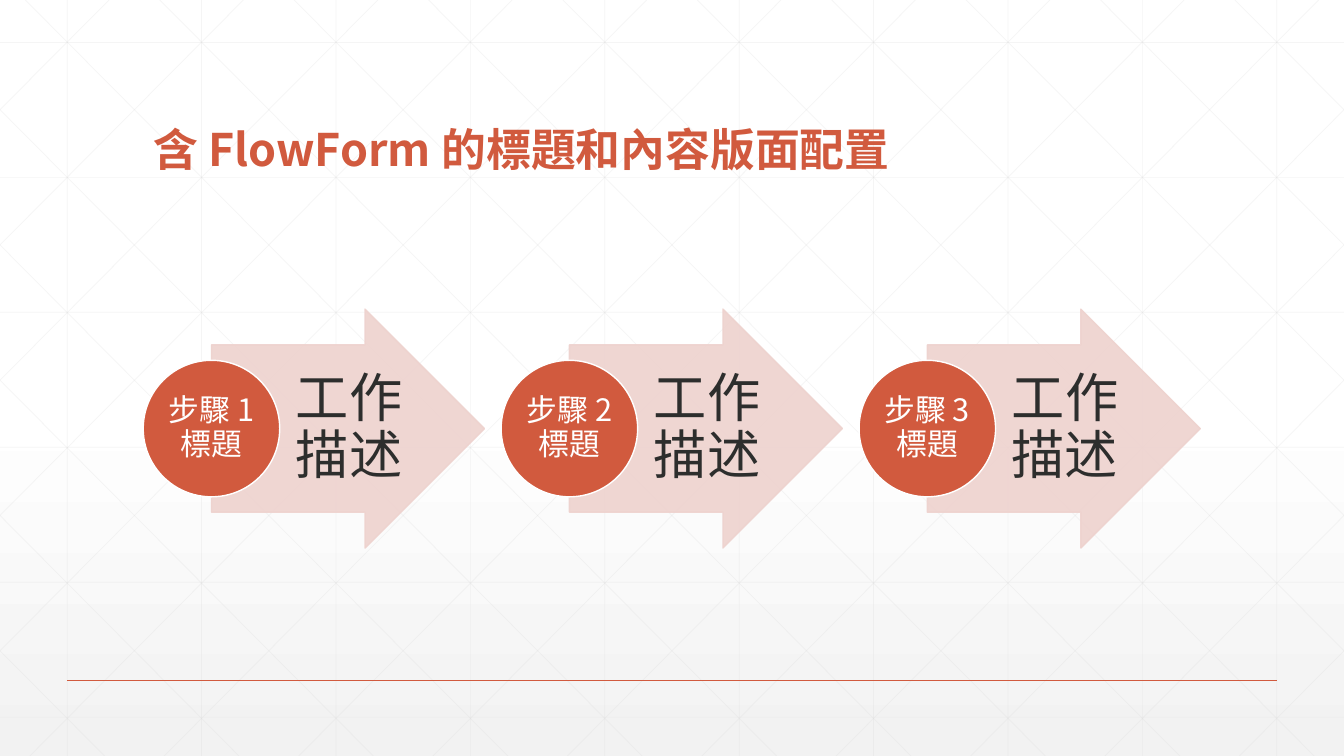
from copy import deepcopy

from lxml import etree
from pptx import Presentation
from pptx.dml.color import RGBColor
from pptx.enum import shapes, text
from pptx.oxml.ns import qn
from pptx.util import Cm, Pt

TITLE = "含 FlowForm 的標題和內容版面配置"
STEPS = [
    ("步驟 1 標題", "工作描述"),
    ("步驟 2 標題", "工作描述"),
    ("步驟 3 標題", "工作描述"),
]
FONT = "Noto Sans CJK TC"
COLORS = {
    "white": "FFFFFF",
    "shade": "F2F2F2",
    "grid": "D9D9D9",
    "accent": "D15A3E",
    "arrow": "EED2CE",
    "ink": "2D2E2D",
}

# Lengths in centimetres
WIDTH, HEIGHT = 33.87, 19.05
COLUMN_PITCH = WIDTH / 10
ROW_TOP, ROW_PITCH = 1.07, 3.4
DIAGONAL_START, DIAGONAL_RUN = 0.64, 18.93
MARGIN, RULE_TOP = 1.69, 17.15
STEP_LEFT, STEP_PITCH = 3.61, 9.02
STEP_MIDDLE = 10.8
CIRCLE = 3.44
HEADING_WIDTH, HEADING_HEIGHT = 2.7, 2.44
ARROW_WIDTH, ARROW_HEIGHT = 6.88, 6.02
TASK_WIDTH, TASK_HEIGHT = 3.35, 4.22


def rgb(name):
    return RGBColor.from_string(COLORS[name])


def set_alpha(fill_owner, percent):
    """Make the first solid colour below an XML element partly transparent."""
    color = fill_owner.find(".//" + qn("a:srgbClr"))
    etree.SubElement(color, qn("a:alpha")).set("val", str(percent * 1000))


def paint_background(slide):
    fill = slide.background.fill
    fill.gradient()
    fill.gradient_angle = 270
    for stop, name in zip(fill.gradient_stops, ("white", "shade")):
        stop.color.rgb = rgb(name)
    stops = slide.element.find(".//" + qn("a:gsLst"))
    middle = deepcopy(stops[0])
    middle.set("pos", "53000")
    stops.insert(1, middle)


def add_line(slide, start, end, color, width, alpha=100):
    line = slide.shapes.add_connector(
        shapes.MSO_CONNECTOR.STRAIGHT, *(Cm(v) for v in (*start, *end)))
    line.line.color.rgb = rgb(color)
    line.line.width = Pt(width)
    properties = line.element.spPr
    if alpha < 100:
        set_alpha(properties.find(qn("a:ln")), alpha)
    etree.SubElement(properties, qn("a:effectLst"))


def clipped_diagonal(top_x):
    """Ends, within the slide, of the falling diagonal that starts at top_x."""
    slope = HEIGHT / DIAGONAL_RUN
    left = max(top_x, 0)
    right = min(top_x + DIAGONAL_RUN, WIDTH)
    return (left, (left - top_x) * slope), (right, (right - top_x) * slope)


def add_grid(slide):
    lines = []
    for i in range(10):
        x = (i + 0.5) * COLUMN_PITCH
        lines.append(((x, 0), (x, HEIGHT)))
    for i in range(6):
        y = ROW_TOP + i * ROW_PITCH
        lines.append(((0, y), (WIDTH, y)))
    for i in range(-5, 10):
        falling = clipped_diagonal(DIAGONAL_START + i * COLUMN_PITCH)
        lines.append(falling)
        lines.append(tuple((WIDTH - x, y) for x, y in falling))
    for start, end in lines:
        add_line(slide, start, end, "grid", 0.5, alpha=25)


def add_words(slide, box, words, size, color, insets,
              anchor=text.MSO_ANCHOR.MIDDLE, align=text.PP_ALIGN.CENTER,
              bold=False):
    label = slide.shapes.add_textbox(*(Cm(v) for v in box))
    frame = label.text_frame
    frame.word_wrap = True
    frame.vertical_anchor = anchor
    (frame.margin_left, frame.margin_top,
     frame.margin_right, frame.margin_bottom) = (Cm(v) for v in insets)
    frame.text = words
    paragraph = frame.paragraphs[0]
    paragraph.alignment = align
    paragraph.line_spacing = 0.9
    font = paragraph.runs[0].font
    font.name, font.size, font.bold = FONT, Pt(size), bold
    font.color.rgb = rgb(color)
    latin = label.element.find(".//" + qn("a:latin"))
    latin.addnext(etree.Element(qn("a:ea"), typeface=FONT))


def add_preset(slide, preset, left, width, height, fill, line):
    """Add a filled shape centred on the middle line of the steps."""
    top = STEP_MIDDLE - height / 2
    shape = slide.shapes.add_shape(
        preset, *(Cm(v) for v in (left, top, width, height)))
    shape.shadow.inherit = False
    shape.fill.solid()
    shape.fill.fore_color.rgb = rgb(fill)
    shape.line.color.rgb = rgb(line)
    shape.line.width = Pt(1)
    return shape


def add_step(slide, left, heading, task):
    arrow = add_preset(slide, shapes.MSO_SHAPE.RIGHT_ARROW, left + CIRCLE / 2,
                       ARROW_WIDTH, ARROW_HEIGHT, "arrow", "arrow")
    arrow.adjustments[0], arrow.adjustments[1] = 0.7, 0.5
    properties = arrow.element.spPr
    set_alpha(properties.find(qn("a:solidFill")), 90)
    set_alpha(properties.find(qn("a:ln")), 90)
    add_words(slide, (left + CIRCLE, STEP_MIDDLE - TASK_HEIGHT / 2,
                      TASK_WIDTH, TASK_HEIGHT),
              task, 38, "ink", (0.28, 0.08, 0.13, 0.08))

    add_preset(slide, shapes.MSO_SHAPE.OVAL, left, CIRCLE, CIRCLE,
               "accent", "white")
    add_words(slide, (left + (CIRCLE - HEADING_WIDTH) / 2,
                      STEP_MIDDLE - HEADING_HEIGHT / 2,
                      HEADING_WIDTH, HEADING_HEIGHT),
              heading, 22, "white", (0, 0, 0, 0))


def main():
    deck = Presentation()
    deck.slide_width, deck.slide_height = Cm(WIDTH), Cm(HEIGHT)
    slide = deck.slides.add_slide(deck.slide_layouts[6])
    paint_background(slide)
    add_grid(slide)
    add_line(slide, (MARGIN, RULE_TOP), (WIDTH - MARGIN, RULE_TOP),
             "accent", 1)
    add_words(slide, (STEP_LEFT, 1.4, 26.67, 3.18), TITLE, 32, "accent",
              (0.25, 0.13, 0.25, 0.13), text.MSO_ANCHOR.BOTTOM,
              text.PP_ALIGN.LEFT, bold=True)
    for i, (heading, task) in enumerate(STEPS):
        add_step(slide, STEP_LEFT + i * STEP_PITCH, heading, task)
    deck.save("out.pptx")


if __name__ == "__main__":
    main()
